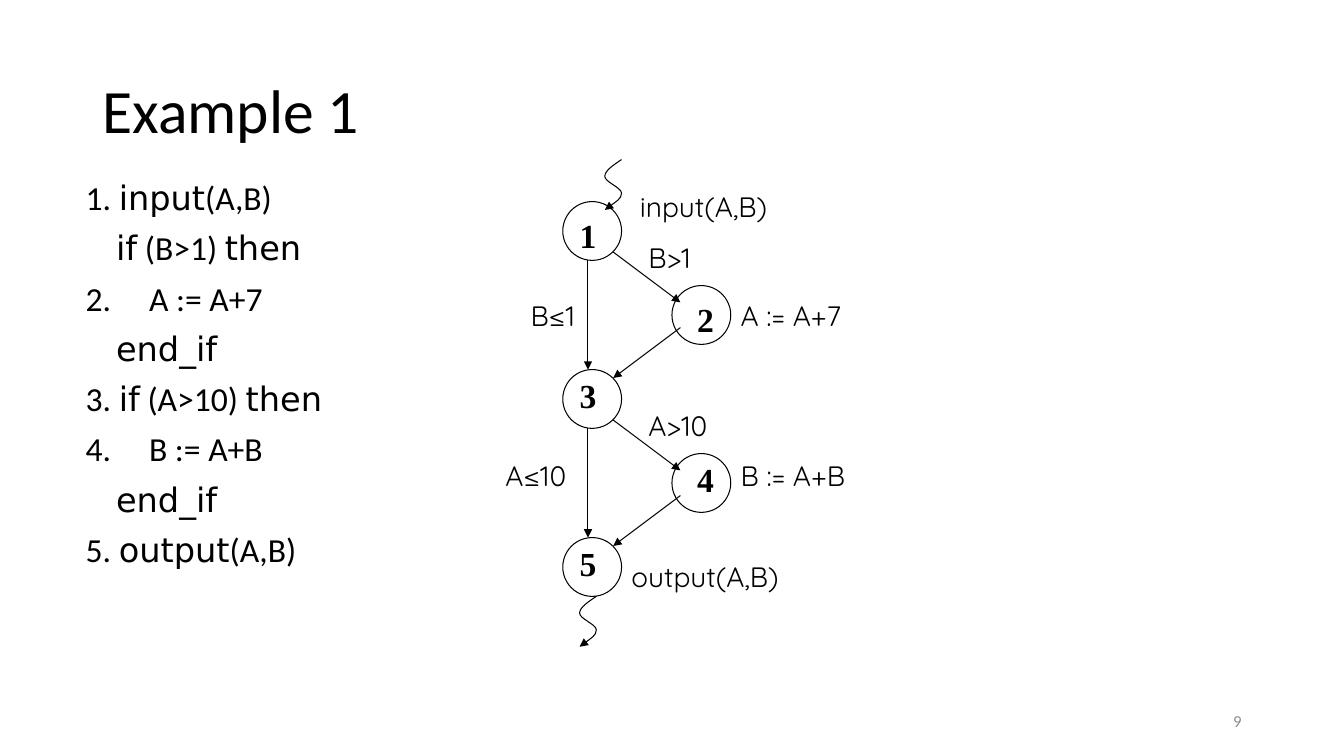
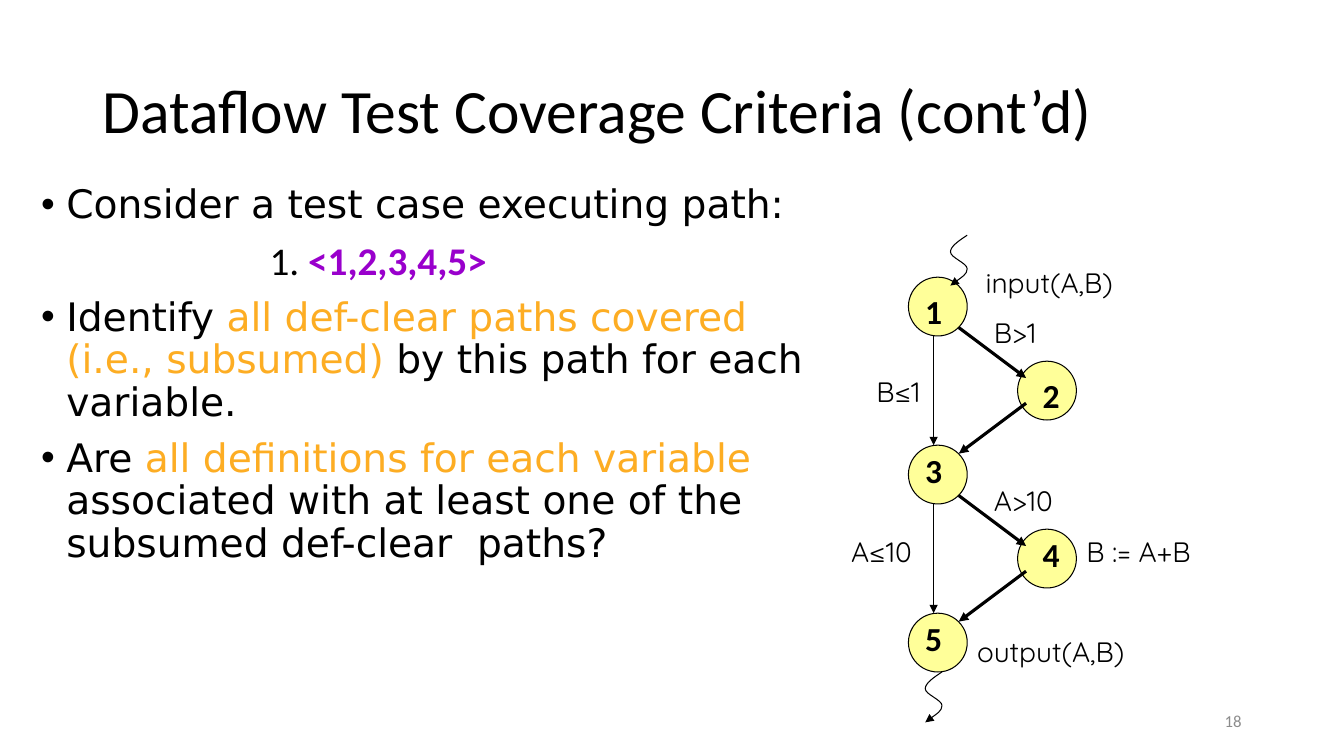
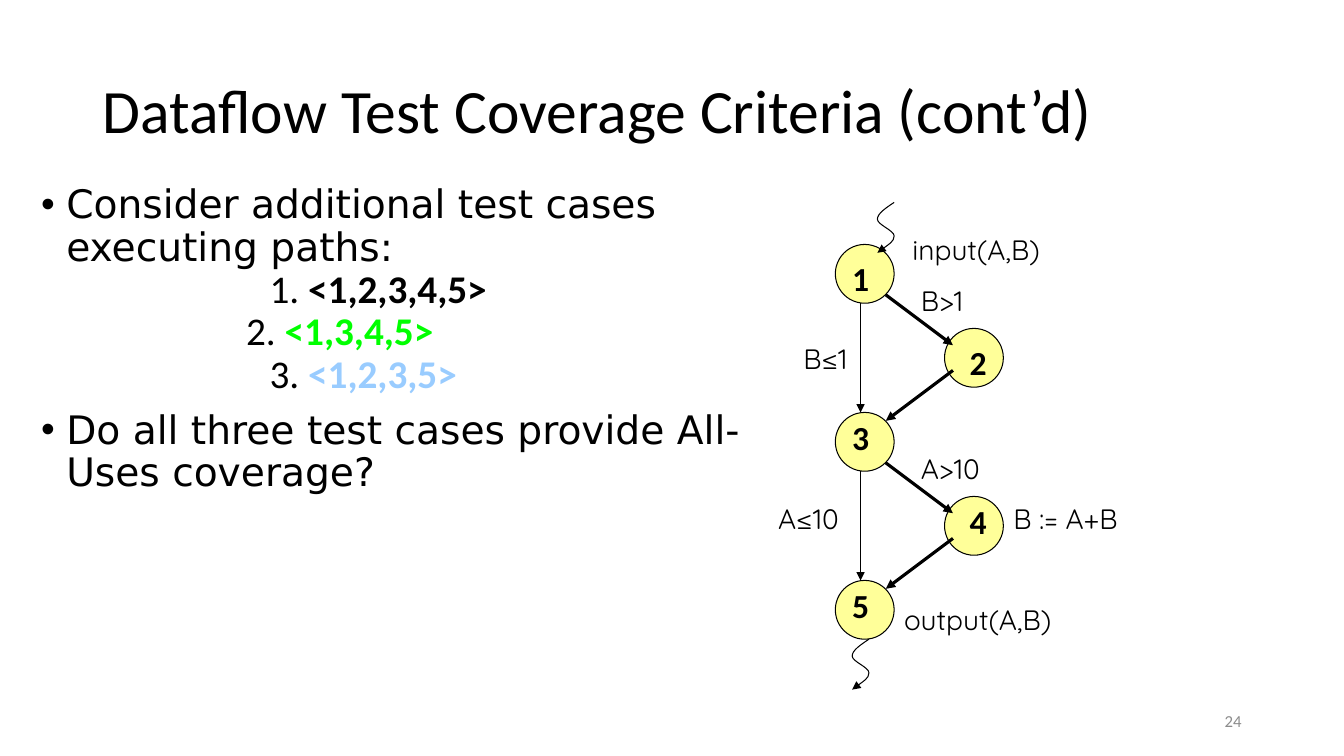
import dataclasses

import pptx
import pptx.dml.color
import pptx.enum.shapes
import pptx.enum.text
import pptx.oxml
import pptx.oxml.ns
import pptx.util
from lxml import etree

COLS, ROWS = 160, 90
UNIT = pptx.util.Pt(6)
ALIGN = pptx.enum.text.PP_ALIGN
ANCHOR = pptx.enum.text.MSO_ANCHOR
qn = pptx.oxml.ns.qn


@dataclasses.dataclass(frozen=True)
class Theme:
    ink: str = "000000"
    paper: str = "FFFFFF"
    node: str = "FFFF99"
    page: str = "8C8C8C"
    key: str = "FDAD23"
    purple: str = "9900CC"
    green: str = "00FF00"
    blue: str = "99CCFF"
    sans: str = "Calibri"
    wide: str = "DejaVu Sans"
    label: str = "Quicksand"
    serif: str = "Times New Roman"
    title_size: float = 44
    body_size: float = 28
    code_size: float = 24
    label_size: float = 20
    page_size: float = 12
    thin: float = 0.75
    thick: float = 2.25


T = Theme()

TITLE_BOX = (11, 4.8, 138, 17.4)
PAGE_BOX = (113, 83.4, 36, 4.8)
SQUIGGLE = [(2, 0), (1, 0.67), (0, 1.33), (0, 2), (0, 2.67), (2, 3.33),
            (2, 4), (2, 4.67), (0.4, 5.67), (0, 6)]
NODES = [("1", 8, 5, 0, 1), ("2", 21, 15, 1, 1), ("3", 8, 25, 0, 0),
         ("4", 21, 35, 1, 0), ("5", 8, 45, 0, 0)]
BRANCH = [((14, 11), (22, 17), True), ((22, 20), (14, 26), True),
          ((11, 12), (11, 25), False)]
LABELS = {
    "input(A,B)": (16, 3, 23), "A := A+7": (28, 16, 23),
    "B := A+B": (28, 35, 19), "B>1": (17, 9, 11), "B≤1": (3, 16, 9),
    "A>10": (17, 29, 11), "A≤10": (0, 35, 11), "output(A,B)": (15, 47, 23),
}


def emu(*lengths):
    return [pptx.util.Emu(round(n * UNIT)) for n in lengths]


def rgb(color):
    return pptx.dml.color.RGBColor.from_string(color)


def put(obj, **values):
    for name, value in values.items():
        setattr(obj, name, value)


def place(sp, box):
    put(sp, **dict(zip(("left", "top", "width", "height"), emu(*box))))


def add_run(p, text, size, name=T.sans, color=T.ink, bold=False):
    r = p.add_run()
    r.text = text
    put(r.font, size=pptx.util.Pt(size), name=name, bold=bold)
    r.font.color.rgb = rgb(color)


def add_text(s, box, text, align=ALIGN.LEFT, anchor=ANCHOR.TOP, **font):
    tf = s.shapes.add_textbox(*emu(*box)).text_frame
    put(tf, word_wrap=True, vertical_anchor=anchor)
    p = tf.paragraphs[0]
    p.alignment = align
    add_run(p, text, **font)


def stroke(sp, width, arrow=False):
    put(sp.line, width=pptx.util.Pt(width))
    sp.line.color.rgb = rgb(T.ink)
    if arrow:
        etree.SubElement(sp.line._get_or_add_ln(), qn("a:tailEnd"), type="triangle")


def add_node(s, box, fill):
    sp = s.shapes.add_shape(pptx.enum.shapes.MSO_SHAPE.OVAL, *emu(*box))
    sp.shadow.inherit = False
    sp.fill.solid()
    sp.fill.fore_color.rgb = rgb(fill)
    stroke(sp, T.thin)


def add_edge(s, start, end, width):
    cn = s.shapes.add_connector(pptx.enum.shapes.MSO_CONNECTOR.STRAIGHT,
                                *emu(*start, *end))
    stroke(cn, width, arrow=True)
    etree.SubElement(cn._element.spPr, qn("a:effectLst"))


def add_squiggle(s, x, y):
    points = [emu(x + dx, y + dy) for dx, dy in SQUIGGLE]
    builder = s.shapes.build_freeform(*points[0])
    builder.add_line_segments(points[1:], close=False)
    sp = builder.convert_to_shape()
    sp.shadow.inherit = False
    sp.fill.background()
    stroke(sp, T.thin, arrow=True)
    segments = list(sp._element.iter(qn("a:lnTo")))
    outline = segments[0].getparent()
    for i in range(0, len(segments), 3):
        curve = etree.SubElement(outline, qn("a:cubicBezTo"))
        for segment in segments[i:i + 3]:
            curve.append(segment[0])
            outline.remove(segment)


def add_graph(s, x, y, fill=T.node, digits=T.sans, width=T.thick, hidden=()):
    for _, nx, ny, _, _ in NODES:
        add_node(s, (x + nx, y + ny, 7, 7), fill)
    for drop in (0, 20):
        for (x1, y1), (x2, y2), diagonal in BRANCH:
            add_edge(s, (x + x1, y + y1 + drop), (x + x2, y + y2 + drop),
                     width if diagonal else T.thin)
    add_squiggle(s, x + 13, y)
    add_squiggle(s, x + 10, y + 52)
    for text, nx, ny, dx, dy in NODES:
        add_text(s, (x + nx + dx, y + ny + dy, 6, 6), text, ALIGN.CENTER,
                 size=T.code_size, name=digits, bold=True)
    for text, (lx, ly, w) in LABELS.items():
        if text not in hidden:
            add_text(s, (x + lx, y + ly, w, 5.2), text,
                     size=T.label_size, name=T.label)


def add_title(s, text):
    sp = s.shapes.title
    place(sp, TITLE_BOX)
    tf = sp.text_frame
    put(tf, word_wrap=True, vertical_anchor=ANCHOR.MIDDLE,
        auto_size=pptx.enum.text.MSO_AUTO_SIZE.NONE)
    p = tf.paragraphs[0]
    put(p, alignment=ALIGN.LEFT, line_spacing=0.9)
    add_run(p, text, T.title_size)


def add_body(s, box, size, paragraphs):
    sp = s.placeholders[1]
    place(sp, box)
    tf = sp.text_frame
    put(tf, word_wrap=True, vertical_anchor=ANCHOR.TOP,
        auto_size=pptx.enum.text.MSO_AUTO_SIZE.NONE)
    for i, (form, runs) in enumerate(paragraphs):
        p = tf.paragraphs[0] if i == 0 else tf.add_paragraph()
        left, hang, bullet, before = form
        pPr = p._p.get_or_add_pPr()
        for name, value in zip(("marL", "indent"), emu(left, -hang)):
            pPr.set(name, str(value))
        if bullet:
            etree.SubElement(pPr, qn("a:buChar"), char="•")
        else:
            etree.SubElement(pPr, qn("a:buNone"))
        put(p, alignment=ALIGN.LEFT, line_spacing=0.9,
            space_before=pptx.util.Pt(before if i else 0))
        for text, font in runs:
            add_run(p, text, size, **font)


def bullet(*runs):
    return (3, 3, True, 10), [(text, dict(name=T.wide, color=color))
                              for text, color in runs]


def test_path(number, text, color, left=27.2, before=0):
    return (left, 0, False, before), [(number, {}),
                                      (text, dict(color=color, bold=True))]


def code(*runs):
    return (3, 3, False, 10), [(text, dict(name=T.wide if i % 2 else T.sans))
                               for i, text in enumerate(runs)]


def add_slide(prs, title, page, box, size, paragraphs, graph):
    s = prs.slides.add_slide(prs.slide_layouts[1])
    add_title(s, title)
    add_text(s, PAGE_BOX, page, ALIGN.RIGHT, ANCHOR.MIDDLE,
             size=T.page_size, color=T.page)
    add_body(s, box, size, paragraphs)
    add_graph(s, **graph)


def main():
    prs = pptx.Presentation()
    put(prs, slide_width=COLS * UNIT, slide_height=ROWS * UNIT)
    criteria = "Dataflow Test Coverage Criteria (cont’d)"

    add_slide(prs, "Example 1", "9", (9, 21, 36, 54), T.code_size, [
        code("1. ", "input", "(A,B)"),
        code("    ", "if", " (B>1) ", "then"),
        code("2.     A := A+7"),
        code("    ", "end_if"),
        code("3. ", "if", " (A>10) ", "then"),
        code("4.     B := A+B"),
        code("    ", "end_if"),
        code("5. ", "output", "(A,B)"),
    ], dict(x=59, y=19, fill=T.paper, digits=T.serif, width=T.thin))

    add_slide(prs, criteria, "18", (3.7, 21.4, 98, 62.9), T.body_size, [
        bullet(("Consider a test case executing path:", T.ink)),
        test_path("1. ", "<1,2,3,4,5>", T.purple, before=10),
        bullet(("Identify ", T.ink),
               ("all def-clear paths covered (i.e., subsumed)", T.key),
               (" by this path for each variable.", T.ink)),
        bullet(("Are ", T.ink), ("all definitions for each variable", T.key),
               (" associated with at least one of the subsumed def-clear  paths?",
                T.ink)),
    ], dict(x=100.15, y=28, hidden=("A := A+7",)))

    add_slide(prs, criteria, "24", (3.7, 21.4, 86.4, 62.9), T.body_size, [
        bullet(("Consider additional test cases executing paths:", T.ink)),
        test_path("1. ", "<1,2,3,4,5>", T.ink),
        test_path("2. ", "<1,3,4,5>", T.green, left=24.4),
        test_path("3. ", "<1,2,3,5>", T.blue),
        bullet(("Do all three test cases provide All-Uses coverage?", T.ink)),
    ], dict(x=91.45, y=24.1, hidden=("A := A+7",)))

    prs.save("out.pptx")


if __name__ == "__main__":
    main()
